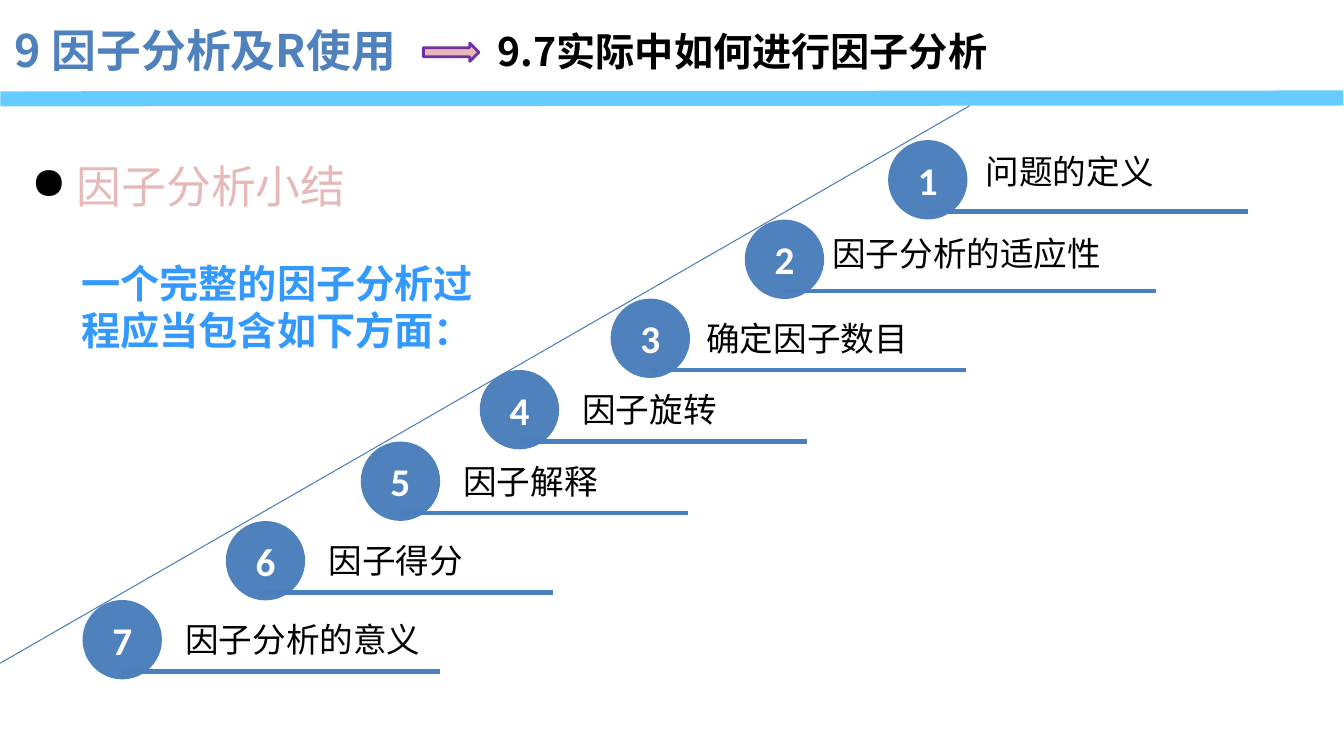
from dataclasses import dataclass

from lxml import etree
from pptx import Presentation
from pptx.dml.color import RGBColor
from pptx.enum import shapes, text
from pptx.oxml import ns
from pptx.util import Pt

CJK = "Noto Sans CJK SC"
BLUE = "4F81BD"
RULE_BLUE = "4B7EBC"
BLACK = "000000"
DIAMETER = 56.7


@dataclass
class Step:
    label: str
    left: float
    top: float
    rule_end: float
    label_dx: float = 66.2
    label_dy: float = 10


@dataclass
class Caption:
    words: str
    left: float
    top: float
    width: float
    height: float
    size: float
    color: str
    bold: bool = True
    wrap: bool = True


STEPS = [
    Step("问题的定义", 634.4, 100.1, 891.4, 62.6, 4.3),
    Step("因子分析的适应性", 532, 156.9, 825.8, 55.4, 5.8),
    Step("确定因子数目", 436.2, 213.3, 689.8, 61.2),
    Step("因子旋转", 342.7, 264.3, 576.6),
    Step("因子解释", 257.7, 315.4, 491.2),
    Step("因子得分", 161.3, 372.2, 395.2),
    Step("因子分析的意义", 59, 428.6, 314),
]
CHAPTER = Caption("9 因子分析及R使用", 3.6, 13, 438.5, 46, 32, BLUE)
SECTION = Caption("9.7实际中如何进行因子分析", 348.5, 15.8, 380.2, 41, 28, BLACK)
SUMMARY = Caption(" 因子分析小结", 15.1, 90.7, 256.3, 65.5, 32, "E6B9B8", False)
INTRO = Caption("一个完整的因子分析过程应当包含如下方面：", 51.1, 181.4, 295.2, 74.9, 28, "3399FF")


def rgb(value: str) -> RGBColor:
    return RGBColor.from_string(value)


def add_element(parent, tag: str, **attributes: str):
    return etree.SubElement(parent, ns.qn(tag), attributes)


def add_run(paragraph, words: str, size: float, color: str, bold: bool, font: str = CJK):
    run = paragraph.add_run()
    run.text = words
    run.font.size = Pt(size)
    run.font.bold = bold
    run.font.color.rgb = rgb(color)
    run.font.name = font
    add_element(run.font._element, "a:ea", typeface=font)
    return run


def add_caption(parent, caption: Caption):
    box = parent.add_textbox(
        Pt(caption.left), Pt(caption.top), Pt(caption.width), Pt(caption.height)
    )
    box.text_frame.word_wrap = caption.wrap
    box.text_frame.auto_size = text.MSO_AUTO_SIZE.SHAPE_TO_FIT_TEXT
    paragraph = box.text_frame.paragraphs[0]
    add_run(paragraph, caption.words, caption.size, caption.color, caption.bold)
    return paragraph


def add_line(parent, x1: float, y1: float, x2: float, y2: float, color: str, width: float):
    line = parent.add_connector(
        shapes.MSO_CONNECTOR.STRAIGHT, Pt(x1), Pt(y1), Pt(x2), Pt(y2)
    )
    line.line.color.rgb = rgb(color)
    line.line.width = Pt(width)
    add_element(line._element.spPr, "a:effectLst")
    return line


def add_step(parent, number: int, step: Step) -> None:
    group = parent.add_group_shape().shapes
    badge = group.add_shape(
        shapes.MSO_SHAPE.FLOWCHART_CONNECTOR,
        Pt(step.left), Pt(step.top), Pt(DIAMETER), Pt(DIAMETER),
    )
    badge.shadow.inherit = False
    badge.fill.solid()
    badge.fill.fore_color.rgb = rgb(BLUE)
    badge.line.fill.background()
    badge.text_frame.vertical_anchor = text.MSO_ANCHOR.MIDDLE
    digit = badge.text_frame.paragraphs[0]
    digit.alignment = text.PP_ALIGN.CENTER
    add_run(digit, str(number), 28, "FFFFFF", True, "Calibri")

    rule_y = step.top + 51
    add_line(group, step.left + DIAMETER / 2, rule_y, step.rule_end, rule_y, RULE_BLUE, 3)
    add_caption(group, Caption(
        step.label, step.left + step.label_dx, step.top + step.label_dy,
        14.4 + 24 * len(step.label), 36, 24, BLACK, False, False,
    ))


def add_header(parent) -> None:
    add_caption(parent, SECTION)
    add_caption(parent, CHAPTER)
    band = add_line(parent, 5.6, 70.6, 954.2, 70, "66CCFF", 10.75)
    band.line._get_or_add_ln().set("cap", "sq")
    arrow = parent.add_shape(
        shapes.MSO_SHAPE.RIGHT_ARROW, Pt(302.4), Pt(30.8), Pt(39.6), Pt(13)
    )
    arrow.shadow.inherit = False
    arrow.fill.solid()
    arrow.fill.fore_color.rgb = rgb("E6B9B8")
    arrow.line.color.rgb = rgb("7030A0")
    arrow.line.width = Pt(2)


def add_summary(parent) -> None:
    summary = add_caption(parent, SUMMARY)
    summary.alignment = text.PP_ALIGN.JUSTIFY
    summary.line_spacing = 1.5
    properties = summary._p.get_or_add_pPr()
    bullet_color = add_element(properties, "a:buClr")
    add_element(bullet_color, "a:srgbClr", val=BLACK)
    add_element(properties, "a:buChar", char="●")

    run_properties = summary.runs[0].font._element
    outline = add_element(run_properties, "a:ln", w=str(Pt(1.75)))
    outline_fill = add_element(outline, "a:solidFill")
    add_element(outline_fill, "a:srgbClr", val="C0504D")
    run_properties.insert(0, outline)


def main() -> None:
    presentation = Presentation()
    presentation.slide_width = Pt(960)
    presentation.slide_height = Pt(540)
    slide = presentation.slides.add_slide(presentation.slide_layouts[6])
    add_header(slide.shapes)
    add_line(slide.shapes, 692.6, 75.6, 0, 473.8, RULE_BLUE, 0.75)
    for number, step in enumerate(STEPS, start=1):
        add_step(slide.shapes, number, step)
    add_summary(slide.shapes)
    add_caption(slide.shapes, INTRO)
    presentation.save("out.pptx")


if __name__ == "__main__":
    main()
